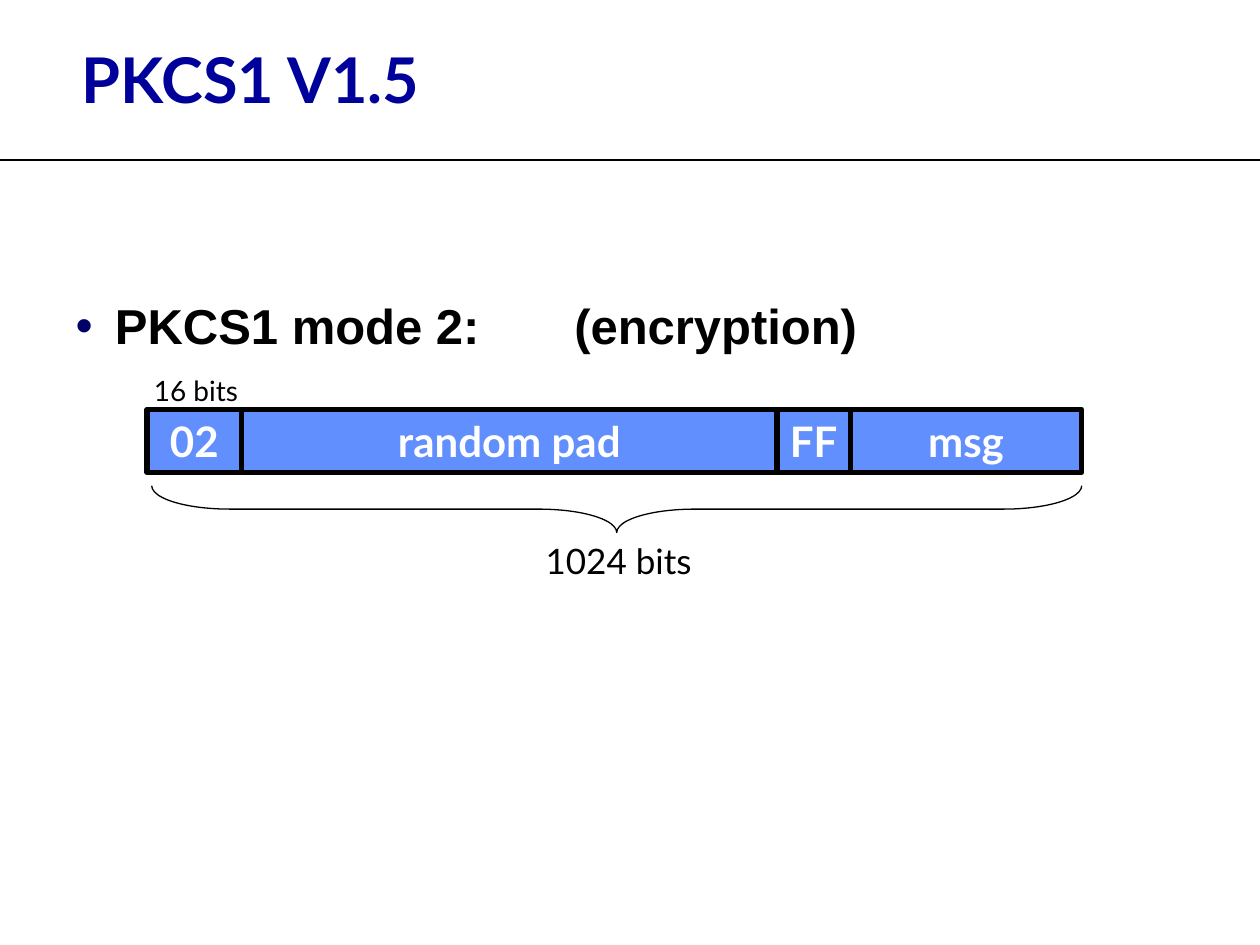
from lxml.etree import SubElement
from pptx import Presentation
from pptx.dml.color import RGBColor
from pptx.enum.shapes import MSO_CONNECTOR, MSO_SHAPE
from pptx.enum.text import MSO_ANCHOR, MSO_AUTO_SIZE, PP_ALIGN
from pptx.oxml.ns import qn
from pptx.util import Pt

COLORS = {
    "title": "00009A",
    "bullet": "000066",
    "ink": "000000",
    "field": "618FFD",
    "field_text": "FFFFFF",
}


def color(name):
    return RGBColor.from_string(COLORS[name])


def write(shape, text, size, ink, font="Lato", bold=False,
          align=PP_ALIGN.CENTER, **frame_format):
    """Set a one-paragraph text with its frame and font format."""
    frame = shape.text_frame
    frame.text = text
    for key, value in {"auto_size": MSO_AUTO_SIZE.NONE, **frame_format}.items():
        setattr(frame, key, value)
    paragraph = frame.paragraphs[0]
    paragraph.alignment = align
    paragraph.space_before = Pt(0)
    run_font = paragraph.runs[0].font
    for key, value in {"name": font, "size": Pt(size), "bold": bold}.items():
        setattr(run_font, key, value)
    run_font.color.rgb = color(ink)
    return paragraph


prs = Presentation()
prs.slide_width, prs.slide_height = Pt(720), Pt(540)
slide = prs.slides.add_slide(prs.slide_layouts[1])
shapes = slide.shapes

# Title and the rule below it
title = shapes.title
title.left, title.top, title.width, title.height = Pt(28.8), Pt(0), Pt(691.2), Pt(90)
write(title, "PKCS1 V1.5", 36, "title", bold=True, align=PP_ALIGN.LEFT,
      vertical_anchor=MSO_ANCHOR.MIDDLE, margin_left=Pt(18), margin_right=Pt(18))

rule = shapes.add_connector(MSO_CONNECTOR.STRAIGHT, Pt(0), Pt(91.5), Pt(720), Pt(91.5))
rule.line.color.rgb = color("ink")
rule.line.width = Pt(1.5)
SubElement(rule._element.spPr, qn("a:effectLst"))

# Bulleted heading, with a tab stop before the purpose
body = slide.placeholders[1]
body.left, body.top, body.width, body.height = Pt(36), Pt(126), Pt(643.7), Pt(396)
heading = write(body, "PKCS1 mode 2:\t(encryption)", 28, "ink", font="Arial",
                bold=True, align=PP_ALIGN.LEFT, margin_top=Pt(43))
heading_props = heading._p.get_or_add_pPr()
heading_props.set("marL", str(Pt(22.5)))
heading_props.set("indent", str(Pt(-22.5)))
bullet_color = SubElement(heading_props, qn("a:buClr"))
SubElement(bullet_color, qn("a:srgbClr"), val=COLORS["bullet"])
SubElement(heading_props, qn("a:buFont"), typeface="Arial")
SubElement(heading_props, qn("a:buChar"), char="•")
tabs = SubElement(heading_props, qn("a:tabLst"))
SubElement(tabs, qn("a:tab"), pos=str(Pt(285)), algn="l")

# Message layout: adjoining fields
field_left = 84
for label, width in [("02", 54), ("random pad", 306), ("FF", 42), ("msg", 132)]:
    field = shapes.add_shape(MSO_SHAPE.RECTANGLE, Pt(field_left), Pt(234), Pt(width), Pt(36))
    field.shadow.inherit = False
    field.fill.solid()
    field.fill.fore_color.rgb = color("field")
    field.line.color.rgb = color("ink")
    field.line.width = Pt(3)
    write(field, label, 24, "field_text", bold=True, word_wrap=False,
          vertical_anchor=MSO_ANCHOR.MIDDLE)
    field_left += width

# Brace below all fields, turned to point down
brace = shapes.add_shape(MSO_SHAPE.LEFT_BRACE, Pt(339), Pt(25.2), Pt(26.8), Pt(531.4))
brace.rotation = 270
brace.adjustments[0] = 1.66
brace.shadow.inherit = False
brace.fill.background()
brace.line.color.rgb = color("ink")
brace.line.width = Pt(0.75)

# Sizes of the whole message and of the first field
for label, size, left, top, width, height in [
    ("1024 bits", 20, 303.8, 304.6, 99.4, 31.7),
    ("16 bits", 16, 80, 210.2, 64, 26.6),
]:
    bit_count = shapes.add_textbox(Pt(left), Pt(top), Pt(width), Pt(height))
    write(bit_count, label, size, "ink", word_wrap=False)

prs.save("out.pptx")
